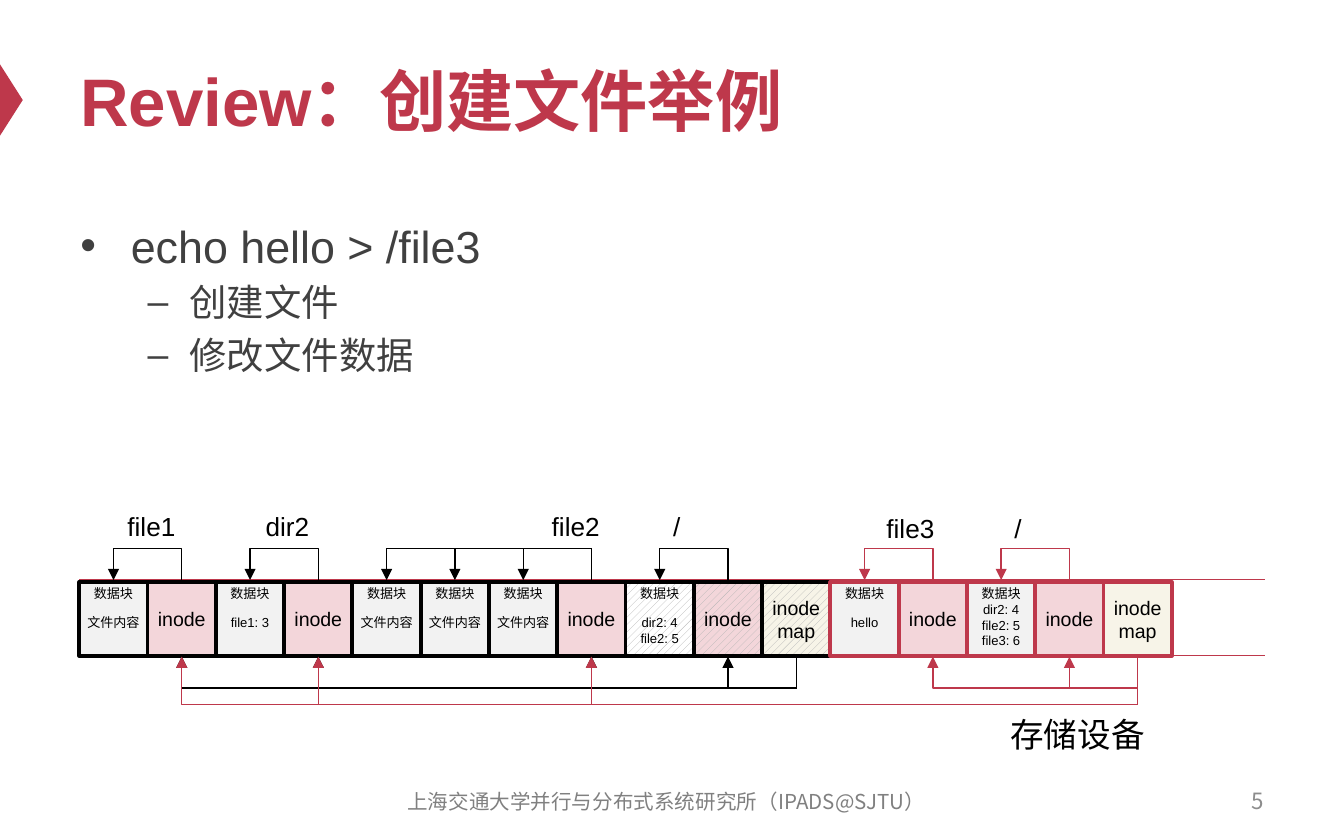
from lxml.etree import SubElement
from pptx import Presentation
from pptx.dml.color import RGBColor
from pptx.enum.dml import MSO_PATTERN
from pptx.enum.shapes import MSO_CONNECTOR, MSO_SHAPE
from pptx.enum.text import MSO_ANCHOR, PP_ALIGN
from pptx.oxml.ns import qn
from pptx.util import Pt

# Content
TITLE = "Review：创建文件举例"
BULLETS = [("echo hello > /file3", 0), ("创建文件", 1), ("修改文件数据", 1)]
FOOTER = "上海交通大学并行与分布式系统研究所（IPADS@SJTU）"
PAGE = "5"
DEVICE = "存储设备"

# Log cells in order: kind, lines, state
CONTENT = ["数据块", "文件内容"]
INODE, INODE_MAP = ["inode"], ["inode", "map"]
CELLS = [
    ("data", CONTENT, "live"),
    ("inode", INODE, "live"),
    ("data", ["数据块", "file1: 3"], "live"),
    ("inode", INODE, "live"),
    ("data", CONTENT, "live"),
    ("data", CONTENT, "live"),
    ("data", CONTENT, "live"),
    ("inode", INODE, "live"),
    ("data", ["数据块", "dir2: 4", "file2: 5"], "stale"),
    ("inode", INODE, "stale"),
    ("map", INODE_MAP, "stale"),
    ("data", ["数据块", "hello"], "new"),
    ("inode", INODE, "new"),
    ("data", ["数据块", "dir2: 4", "file2: 5", "file3: 6"], "new"),
    ("inode", INODE, "new"),
    ("map", INODE_MAP, "new"),
]

# Links as (from cell, to cells, colour)
BLOCK_LINKS = [(1, [0], "ink"), (3, [2], "ink"), (7, [6, 5, 4], "ink"),
               (9, [8], "ink"), (12, [11], "red"), (14, [13], "red")]
MAP_LINKS = [(10, [9, 7, 3, 1], "ink"), (15, [14, 12], "red")]
OLD_INODE_LINKS = [(15, [7, 3, 1], "red")]

# Labels as (text, left, top)
LABELS = [("file1", 61.2, 270), ("dir2", 135.2, 270), ("file2", 288.5, 270),
          ("/", 353.5, 270), ("file3", 467.8, 271), ("/", 536.4, 271)]

THEME = {
    "font": "Arial", "cjk": "Noto Sans CJK SC",
    "red": "BE384B", "ink": "000000", "body": "404040",
    "footer": "808080", "page": "8C8C8C", "hatch": "B4B4B4",
    "data": "F2F2F2", "inode": "F3D6DA", "map": "F7F4E8", "stale_data": "FFFFFF",
    "title_size": 36, "body_sizes": [24, 20], "device_size": 18, "label_size": 14,
    "page_size": 12, "footer_size": 11, "inode_size": 10.5, "data_size": 7,
}

# Geometry of the log
LEFT, TOP, PITCH, HEIGHT = 42.5, 311.8, 36.58, 39.5
BOTTOM = TOP + HEIGHT
RIGHT = 677.5


def color(name):
    return RGBColor.from_string(THEME[name])


def write(tf, lines, *, size, ink="ink", font=THEME["font"], bold=False,
          align=PP_ALIGN.LEFT, anchor=MSO_ANCHOR.TOP, wrap=True,
          margins=(7.2, 3.6), gap=0):
    """Fill a text frame; gap is the space above the second line."""
    tf.word_wrap = wrap
    tf.vertical_anchor = anchor
    tf.margin_left = tf.margin_right = Pt(margins[0])
    tf.margin_top = tf.margin_bottom = Pt(margins[1])
    for i, text in enumerate(lines):
        p = tf.paragraphs[0] if i == 0 else tf.add_paragraph()
        p.alignment = align
        if i == 1 and gap:
            p.space_before = Pt(gap)
        r = p.add_run()
        r.text = text
        r.font.size, r.font.bold, r.font.name = Pt(size), bold, font
        r.font.color.rgb = color(ink)
        SubElement(r._r.rPr, qn("a:ea"), typeface=THEME["cjk"])


def add_text(s, box, lines, **fmt):
    tb = s.shapes.add_textbox(*map(Pt, box))
    write(tb.text_frame, lines, **fmt)
    return tb.text_frame


def add_box(s, preset, box, fill):
    sp = s.shapes.add_shape(preset, *map(Pt, box))
    sp.shadow.inherit = False
    sp.fill.solid()
    sp.fill.fore_color.rgb = color(fill)
    return sp


def add_line(s, kind, x1, y1, x2, y2, ink):
    c = s.shapes.add_connector(kind, Pt(x1), Pt(y1), Pt(x2), Pt(y2))
    c.line.width = Pt(0.75)
    c.line.color.rgb = color(ink)
    SubElement(c._element.spPr, qn("a:effectLst"))
    return c


def center(i):
    return LEFT + PITCH * (i + 0.5)


def add_link(s, start, end, ink, y, depth, up):
    """Elbow arrow leaving y by depth and returning to it, turned on its side."""
    x1, x2 = center(start), center(end)
    mid, span, thick = (x1 + x2) / 2, x1 - x2, 1
    c = add_line(s, MSO_CONNECTOR.ELBOW, mid - thick / 2, y - span / 2,
                 mid + thick / 2, y + span / 2, ink)
    xfrm = c._element.spPr.find(qn("a:xfrm"))
    xfrm.set("rot", str((270 if up else 90) * 60000))
    if up:
        xfrm.set("flipV", "1")
    geom = c._element.spPr.find(qn("a:prstGeom"))
    guides = geom.find(qn("a:avLst"))
    if guides is None:
        guides = SubElement(geom, qn("a:avLst"))
    SubElement(guides, qn("a:gd"), name="adj1", fmla=f"val {depth * 100000}")
    SubElement(c.line._get_or_add_ln(), qn("a:tailEnd"), type="triangle")


def add_cell(s, i, kind, lines, state):
    sp = add_box(s, MSO_SHAPE.RECTANGLE, (LEFT + PITCH * i, TOP, PITCH, HEIGHT), kind)
    if state == "stale":
        sp.fill.patterned()
        sp.fill.pattern = MSO_PATTERN.WIDE_UPWARD_DIAGONAL
        sp.fill.fore_color.rgb = color("hatch")
        sp.fill.back_color.rgb = color("stale_data" if kind == "data" else kind)
    sp.line.width = Pt(2)
    sp.line.color.rgb = color("red" if state == "new" else "ink")
    if kind == "data":
        write(sp.text_frame, lines, size=THEME["data_size"], wrap=False,
              align=PP_ALIGN.CENTER, margins=(0, 2), gap=7 if len(lines) < 4 else 0)
    else:
        write(sp.text_frame, lines, size=THEME["inode_size"], wrap=False,
              align=PP_ALIGN.CENTER, anchor=MSO_ANCHOR.MIDDLE, margins=(0, 0))


def add_bullets(s):
    tf = add_text(s, (36, 105, 648, 297), [t for t, _ in BULLETS],
                  size=THEME["body_sizes"][0], ink="body", margins=(7.2, 12))
    for i, (p, (_, level)) in enumerate(zip(tf.paragraphs, BULLETS)):
        p.level = level
        if i:
            p.space_before = Pt(4)
        indent, hang, mark = [(27, 27, "•"), (58.5, 22.5, "–")][level]
        pPr = p._p.get_or_add_pPr()
        pPr.set("marL", str(Pt(indent)))
        pPr.set("indent", str(-Pt(hang)))
        SubElement(pPr, qn("a:buFont"), typeface=THEME["font"])
        SubElement(pPr, qn("a:buChar"), char=mark)
        p.runs[0].font.size = Pt(THEME["body_sizes"][level])


def main():
    prs = Presentation()
    prs.slide_width, prs.slide_height = Pt(720), Pt(450)
    s = prs.slides.add_slide(prs.slide_layouts[6])

    # Title, bullets and footer
    marker = add_box(s, MSO_SHAPE.ISOSCELES_TRIANGLE, (-13, 47.5, 38.2, 12.2), "red")
    marker.rotation = 90
    marker.line.fill.background()
    middle = MSO_ANCHOR.MIDDLE
    add_text(s, (36, 18, 648, 70.6), [TITLE], size=THEME["title_size"],
             ink="red", bold=True, anchor=middle)
    add_bullets(s)
    add_text(s, (516, 417, 168, 24), [PAGE], size=THEME["page_size"], ink="page",
             font=THEME["cjk"], align=PP_ALIGN.RIGHT, anchor=middle)
    add_text(s, (201, 417.5, 312, 24), [FOOTER], size=THEME["footer_size"], ink="footer",
             font=THEME["cjk"], align=PP_ALIGN.CENTER, anchor=middle)

    # Storage device and its log
    for y in (TOP - 1.5, BOTTOM):
        add_line(s, MSO_CONNECTOR.STRAIGHT, LEFT, y, RIGHT, y, "red")
    for i, cell in enumerate(CELLS):
        add_cell(s, i, *cell)
    add_text(s, (534.2, 378.7, 87, 29), [DEVICE], size=THEME["device_size"], wrap=False)

    # Links above and below the log
    for links, y, depth, up in ((BLOCK_LINKS, TOP - 0.5, 18, True),
                                (MAP_LINKS, BOTTOM, 18, False),
                                (OLD_INODE_LINKS, BOTTOM, 27, False)):
        for start, ends, ink in links:
            for end in ends:
                add_link(s, start, end, ink, y, depth, up)

    # File labels
    for text, x, y in LABELS:
        width = 18.7 if text == "/" else 40.3
        add_text(s, (x, y, width, 24.5), [text], size=THEME["label_size"], wrap=False)
    prs.save("out.pptx")


if __name__ == "__main__":
    main()
